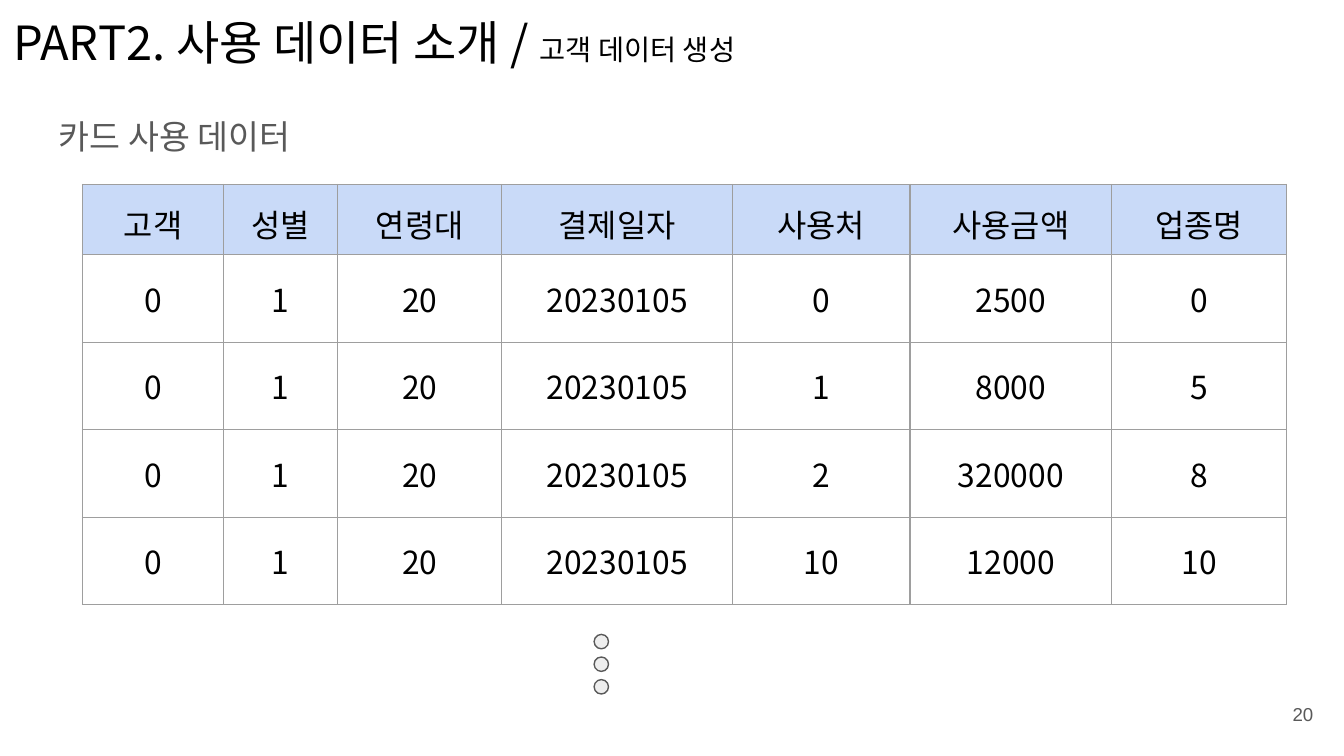
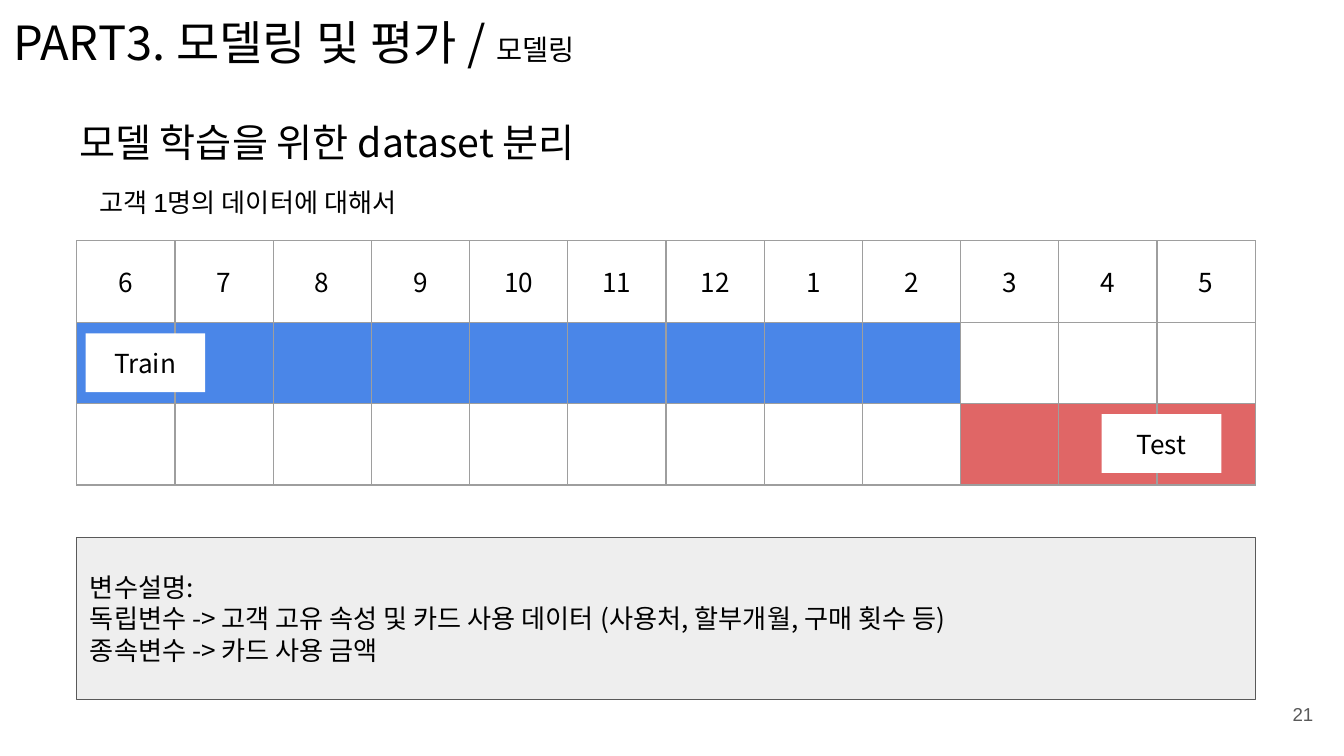
from lxml import etree
from pptx import Presentation
from pptx.dml.color import RGBColor
from pptx.enum.shapes import MSO_SHAPE
from pptx.enum.text import MSO_ANCHOR, PP_ALIGN
from pptx.oxml.ns import qn
from pptx.util import Pt

LEFT, CENTER, RIGHT = PP_ALIGN.LEFT, PP_ALIGN.CENTER, PP_ALIGN.RIGHT
TOP, MIDDLE = MSO_ANCHOR.TOP, MSO_ANCHOR.MIDDLE
RECTANGLE, OVAL = MSO_SHAPE.RECTANGLE, MSO_SHAPE.OVAL

BLACK = RGBColor(0x00, 0x00, 0x00)
WHITE = RGBColor(0xFF, 0xFF, 0xFF)
DARK_GRAY = RGBColor(0x59, 0x59, 0x59)
BORDER_GRAY = RGBColor(0x9E, 0x9E, 0x9E)
LIGHT_GRAY = RGBColor(0xEE, 0xEE, 0xEE)
HEADER_BLUE = RGBColor(0xC9, 0xDA, 0xF8)
TRAIN_BLUE = RGBColor(0x4A, 0x86, 0xE8)
TEST_RED = RGBColor(0xE0, 0x66, 0x66)

KOREAN_FONT = "Noto Sans CJK KR"
LATIN_FONT = "Arial"
INSET = 7.2
LINE_WIDTH = 0.75

CARD_COLUMNS = [75.6, 61.2, 87.8, 123.8, 95, 108, 93.6]
CARD_ROWS = [36.7] + [46.9] * 4
CARD_DATA = [
    ["고객", "성별", "연령대", "결제일자", "사용처", "사용금액", "업종명"],
    ["0", "1", "20", "20230105", "0", "2500", "0"],
    ["0", "1", "20", "20230105", "1", "8000", "5"],
    ["0", "1", "20", "20230105", "2", "320000", "8"],
    ["0", "1", "20", "20230105", "10", "12000", "10"],
]
MONTHS = ["6", "7", "8", "9", "10", "11", "12", "1", "2", "3", "4", "5"]
TRAIN_MONTHS = 9
SPLIT_LEFT, SPLIT_WIDTH = 41.1, 631.6
VARIABLE_NOTES = [
    "변수설명:",
    "독립변수 -> 고객 고유 속성 및 카드 사용 데이터 (사용처, 할부개월, 구매 횟수 등)",
    "종속변수 -> 카드 사용 금액",
]


def format_run(run, size, color=BLACK, font=KOREAN_FONT):
    """Set size, colour and the Latin and East Asian fonts of a run."""
    run.font.size = Pt(size)
    run.font.color.rgb = color
    run.font.name = font
    east_asian = etree.SubElement(run.font._element, qn("a:ea"))
    east_asian.set("typeface", KOREAN_FONT)


def write_text(text_frame, text, size, color=BLACK, font=KOREAN_FONT, align=LEFT):
    """Fill a text frame and format all of its runs alike."""
    text_frame.text = text
    for paragraph in text_frame.paragraphs:
        paragraph.alignment = align
        for run in paragraph.runs:
            format_run(run, size, color, font)


def set_frame(text_frame, anchor, vertical_inset=INSET):
    """Set wrapping, anchor and margins of a text frame."""
    text_frame.word_wrap = True
    text_frame.vertical_anchor = anchor
    text_frame.margin_left = text_frame.margin_right = Pt(INSET)
    text_frame.margin_top = text_frame.margin_bottom = Pt(vertical_inset)


def add_text(slide, box, text, size, anchor=TOP, vertical_inset=INSET, **style):
    """Add a text box and return its text frame."""
    text_frame = slide.shapes.add_textbox(*map(Pt, box)).text_frame
    set_frame(text_frame, anchor, vertical_inset)
    write_text(text_frame, text, size, **style)
    return text_frame


def add_shape(slide, kind, box, fill, outline=None):
    """Add a flat preset shape with an optional outline."""
    shape = slide.shapes.add_shape(kind, *map(Pt, box))
    shape.shadow.inherit = False
    shape.fill.solid()
    shape.fill.fore_color.rgb = fill
    if outline is None:
        shape.line.fill.background()
    else:
        shape.line.color.rgb = outline
        shape.line.width = Pt(LINE_WIDTH)
    return shape


def add_panel(slide, box, fill, text, outline=None, align=CENTER):
    """Add a rectangle that holds vertically centred text."""
    shape = add_shape(slide, RECTANGLE, box, fill, outline)
    set_frame(shape.text_frame, MIDDLE)
    write_text(shape.text_frame, text, 14, align=align)


def set_borders(cell):
    """Draw a thin gray line on each side of a cell."""
    properties = cell._tc.get_or_add_tcPr()
    for position, side in enumerate(("lnL", "lnR", "lnT", "lnB")):
        line = etree.Element(qn(f"a:{side}"), w=str(Pt(LINE_WIDTH)))
        fill = etree.SubElement(line, qn("a:solidFill"))
        etree.SubElement(fill, qn("a:srgbClr"), val=str(BORDER_GRAY))
        properties.insert(position, line)


def add_table(slide, left, top, widths, heights, rows, size, inset, fill_for):
    """Add a bordered table whose cell fills come from a function."""
    box = (left, top, sum(widths), sum(heights))
    table = slide.shapes.add_table(len(heights), len(widths), *map(Pt, box)).table
    table.first_row = table.horz_banding = False
    for column, width in zip(table.columns, widths):
        column.width = Pt(width)
    for row, height in zip(table.rows, heights):
        row.height = Pt(height)
    for row_index, texts in enumerate(rows):
        for column_index, text in enumerate(texts):
            cell = table.cell(row_index, column_index)
            cell.vertical_anchor = MIDDLE
            cell.margin_left = cell.margin_right = Pt(inset)
            cell.margin_top = cell.margin_bottom = Pt(inset)
            if text:
                write_text(cell.text_frame, text, size, align=CENTER)
            fill = fill_for(row_index, column_index)
            if fill is None:
                cell.fill.background()
            else:
                cell.fill.solid()
                cell.fill.fore_color.rgb = fill
            set_borders(cell)


def add_base_slide(presentation, part, topic, number):
    """Add a blank slide with its two-size title and page number."""
    slide = presentation.slides.add_slide(presentation.slide_layouts[6])
    title = add_text(slide, (0, 0, 671, 45.4), f"{part} / ", 25.2)
    topic_run = title.paragraphs[0].add_run()
    topic_run.text = topic
    format_run(topic_run, 15.2)
    add_text(slide, (667.4, 367.2, 43.2, 31), str(number), 10, anchor=MIDDLE,
             color=DARK_GRAY, font=LATIN_FONT, align=RIGHT)
    return slide


def card_fill(row, column):
    """Return the fill of a card data cell."""
    return WHITE if row else HEADER_BLUE


def split_fill(row, column):
    """Return the fill of a train and test split cell."""
    if row == 1 and column < TRAIN_MONTHS:
        return TRAIN_BLUE
    if row == 2 and column >= TRAIN_MONTHS:
        return TEST_RED
    return None


def build_card_data_slide(presentation):
    """Build the slide with the card usage table."""
    slide = add_base_slide(presentation, "PART2. 사용 데이터 소개", "고객 데이터 생성", 20)
    heading = add_text(slide, (24.5, 51.8, 671, 90), "카드 사용 데이터", 18,
                       color=DARK_GRAY)
    heading.paragraphs[0].line_spacing = 1.15
    add_table(slide, 44.2, 98.8, CARD_COLUMNS, CARD_ROWS, CARD_DATA, 17, 8.6, card_fill)
    for index in range(3):
        add_shape(slide, OVAL, (318.3, 339.9 + 12.1 * index, 7.7, 7.7),
                  LIGHT_GRAY, DARK_GRAY)


def build_split_slide(presentation):
    """Build the slide with the train and test split."""
    slide = add_base_slide(presentation, "PART3. 모델링 및 평가", "모델링", 21)
    add_text(slide, (35.3, 56.2, 319.7, 40.3), "모델 학습을 위한 dataset 분리", 21)
    add_text(slide, (46.1, 96.5, 200.2, 24.5), "고객 1명의 데이터에 대해서", 14,
             vertical_inset=3.6, font=LATIN_FONT)
    count = len(MONTHS)
    add_table(slide, SPLIT_LEFT, 129, [SPLIT_WIDTH / count] * count, [43.6] * 3,
              [MONTHS, [""] * count, [""] * count], 14, INSET, split_fill)
    add_panel(slide, (45.8, 178.6, 64.1, 31.5), WHITE, "Train")
    add_panel(slide, (590.2, 221.9, 64.1, 31.5), WHITE, "Test")
    add_panel(slide, (SPLIT_LEFT, 287.8, SPLIT_WIDTH, 87), LIGHT_GRAY,
              "\n".join(VARIABLE_NOTES), outline=DARK_GRAY, align=LEFT)


def main():
    """Create and save the presentation."""
    presentation = Presentation()
    presentation.slide_width = Pt(720)
    presentation.slide_height = Pt(405)
    build_card_data_slide(presentation)
    build_split_slide(presentation)
    presentation.save("out.pptx")


if __name__ == "__main__":
    main()
